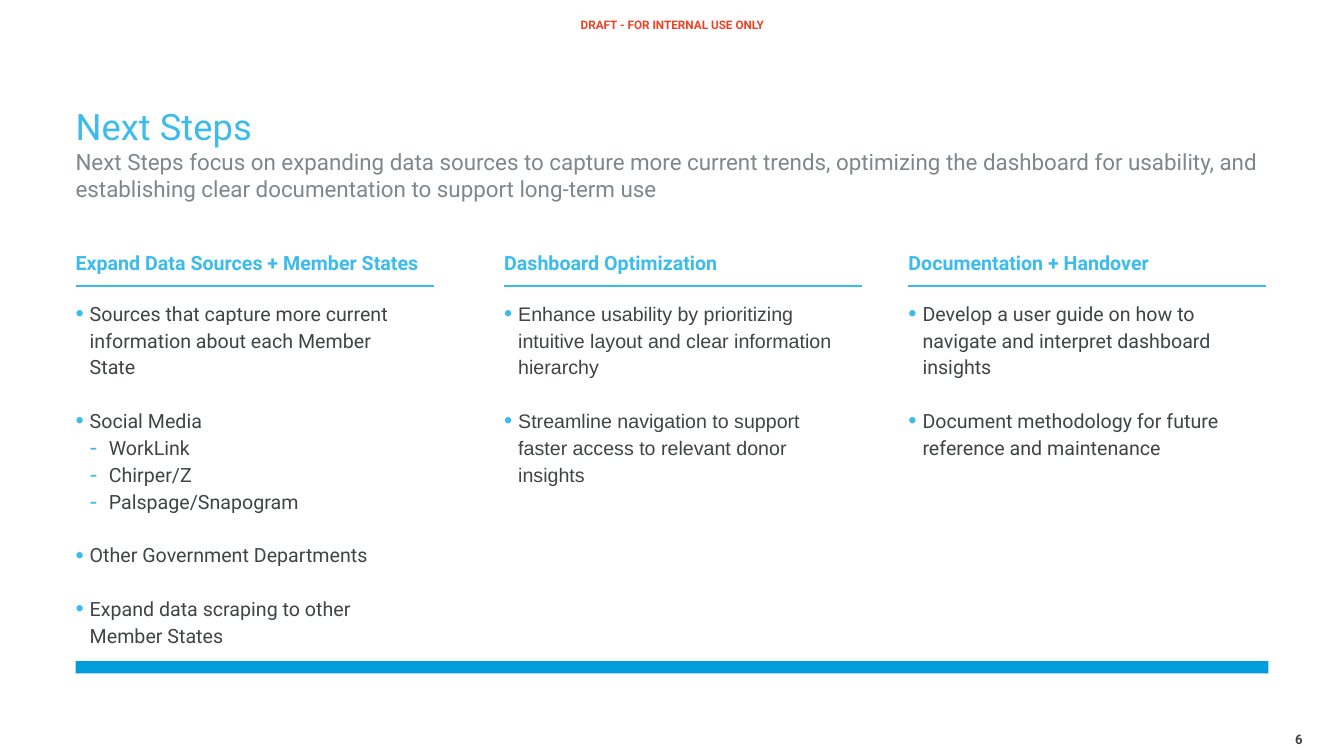
from dataclasses import dataclass

from lxml.etree import SubElement
from pptx import Presentation
from pptx.dml.color import RGBColor
from pptx.enum.shapes import MSO_CONNECTOR, MSO_SHAPE
from pptx.enum.text import MSO_ANCHOR, PP_ALIGN
from pptx.oxml.ns import qn
from pptx.util import Pt

EMU_PER_PX = 9144
PX_PER_INCH = 100


@dataclass(frozen=True)
class Theme:
    font: str = "Roboto"
    alternate_font: str = "Arial"
    accent: str = "3CBBED"
    bar: str = "009DDA"
    body: str = "404445"
    subtitle: str = "80878A"
    warning: str = "EA4425"
    title_size: float = 26
    subtitle_size: float = 16
    body_size: float = 14
    page_size: float = 9.4
    draft_size: float = 8.4
    rule_width: float = 1.75
    line_spacing: float = 1.14
    item_gap: float = 19.2


def px(length):
    return length * EMU_PER_PX


def write(paragraph, text, *, font, size, color, bold=False):
    run = paragraph.add_run()
    run.text = text
    run.font.name = font
    run.font.size = Pt(size)
    run.font.bold = bold
    run.font.color.rgb = RGBColor.from_string(color)


class SlideBuilder:
    def __init__(self, slide, theme):
        self.slide = slide
        self.theme = theme

    def frame(self, left, top, width, height, top_inset=0, bottom_inset=0,
              anchor=MSO_ANCHOR.TOP, wrap=True):
        box = self.slide.shapes.add_textbox(px(left), px(top), px(width), px(height))
        frame = box.text_frame
        frame.margin_left = frame.margin_right = 0
        frame.margin_top, frame.margin_bottom = px(top_inset), px(bottom_inset)
        frame.vertical_anchor = anchor
        frame.word_wrap = wrap
        return frame

    def label(self, bounds, text, align=PP_ALIGN.LEFT, frame_format=None, **text_format):
        paragraph = self.frame(*bounds, **(frame_format or {})).paragraphs[0]
        paragraph.alignment = align
        write(paragraph, text, font=self.theme.font, **text_format)

    def title(self, bounds, heading, summary):
        theme = self.theme
        paragraph = self.frame(*bounds, bottom_inset=5, anchor=MSO_ANCHOR.BOTTOM).paragraphs[0]
        write(paragraph, heading, font=theme.font, size=theme.title_size, color=theme.accent)
        paragraph.add_line_break()
        write(paragraph, summary, font=theme.font, size=theme.subtitle_size, color=theme.subtitle)

    def bullet(self, paragraph, mark, indent, hanging):
        properties = paragraph._p.get_or_add_pPr()
        properties.set("marL", str(px(indent)))
        properties.set("indent", str(-px(hanging)))
        color = SubElement(properties, qn("a:buClr"))
        SubElement(color, qn("a:srgbClr"), val=self.theme.accent)
        SubElement(properties, qn("a:buSzPct"), val="120000")
        SubElement(properties, qn("a:buFont"), typeface="Arial")
        SubElement(properties, qn("a:buChar"), char=mark)

    def bullets(self, bounds, topics, font):
        theme = self.theme
        frame = self.frame(*bounds, top_inset=10)
        entries = [
            (text, position > 0, number > 0 and position == 0)
            for number, topic in enumerate(topics)
            for position, text in enumerate(topic)
        ]
        for number, (text, nested, starts_topic) in enumerate(entries):
            paragraph = frame.add_paragraph() if number else frame.paragraphs[0]
            paragraph.level = int(nested)
            paragraph.line_spacing = theme.line_spacing
            paragraph.space_before = Pt(theme.item_gap if starts_topic else 0)
            self.bullet(paragraph, *(("-", 33, 19) if nested else ("•", 14, 14)))
            write(paragraph, text, font=font, size=theme.body_size, color=theme.body)

    def rule(self, left, top, width):
        line = self.slide.shapes.add_connector(
            MSO_CONNECTOR.STRAIGHT, px(left), px(top), px(left + width), px(top))
        line.line.color.rgb = RGBColor.from_string(self.theme.accent)
        line.line.width = Pt(self.theme.rule_width)
        SubElement(line._element.spPr, qn("a:effectLst"))

    def bar(self, left, top, width, height):
        bar = self.slide.shapes.add_shape(
            MSO_SHAPE.RECTANGLE, px(left), px(top), px(width), px(height))
        bar.shadow.inherit = False
        bar.fill.solid()
        bar.fill.fore_color.rgb = RGBColor.from_string(self.theme.bar)
        bar.line.fill.background()

    def column(self, left, heading, topics, font):
        theme = self.theme
        self.label((left, 225, 355, 52), heading, size=theme.body_size,
                   color=theme.accent, bold=True,
                   frame_format={"bottom_inset": 5, "anchor": MSO_ANCHOR.BOTTOM})
        self.rule(left, 284, 355)
        self.bullets((left, 286, 333, 378), topics, font)


def main():
    theme = Theme()
    presentation = Presentation()
    presentation.slide_width = px(1333)
    presentation.slide_height = px(750)
    builder = SlideBuilder(presentation.slides.add_slide(presentation.slide_layouts[6]), theme)

    builder.label((564, 18, 206, 16), "DRAFT - FOR INTERNAL USE ONLY", PP_ALIGN.CENTER,
                  {"wrap": False}, size=theme.draft_size, color=theme.warning, bold=True)
    builder.title(
        (75, 100, 1183, 105), "Next Steps",
        "Next Steps focus on expanding data sources to capture more current trends, "
        "optimizing the dashboard for usability, and establishing clear documentation "
        "to support long-term use")

    columns = [
        (75, "Expand Data Sources + Member States", theme.font, [
            ["Sources that capture more current information about each Member State"],
            ["Social Media", "WorkLink", "Chirper/Z", "Palspage/Snapogram"],
            ["Other Government Departments"],
            ["Expand data scraping to other Member States"],
        ]),
        (500, "Dashboard Optimization", theme.alternate_font, [
            ["Enhance usability by prioritizing intuitive layout and clear information hierarchy"],
            ["Streamline navigation to support faster access to relevant donor insights"],
        ]),
        (901, "Documentation + Handover", theme.font, [
            ["Develop a user guide on how to navigate and interpret dashboard insights"],
            ["Document methodology for future reference and maintenance"],
        ]),
    ]
    for left, heading, font, topics in columns:
        builder.column(left, heading, topics, font)

    builder.bar(75, 656, 1183, 12)
    builder.label((1172, 732, 120, 9), "6", PP_ALIGN.RIGHT,
                  {"anchor": MSO_ANCHOR.BOTTOM}, size=theme.page_size,
                  color=theme.body, bold=True)
    presentation.save("out.pptx")


if __name__ == "__main__":
    main()
